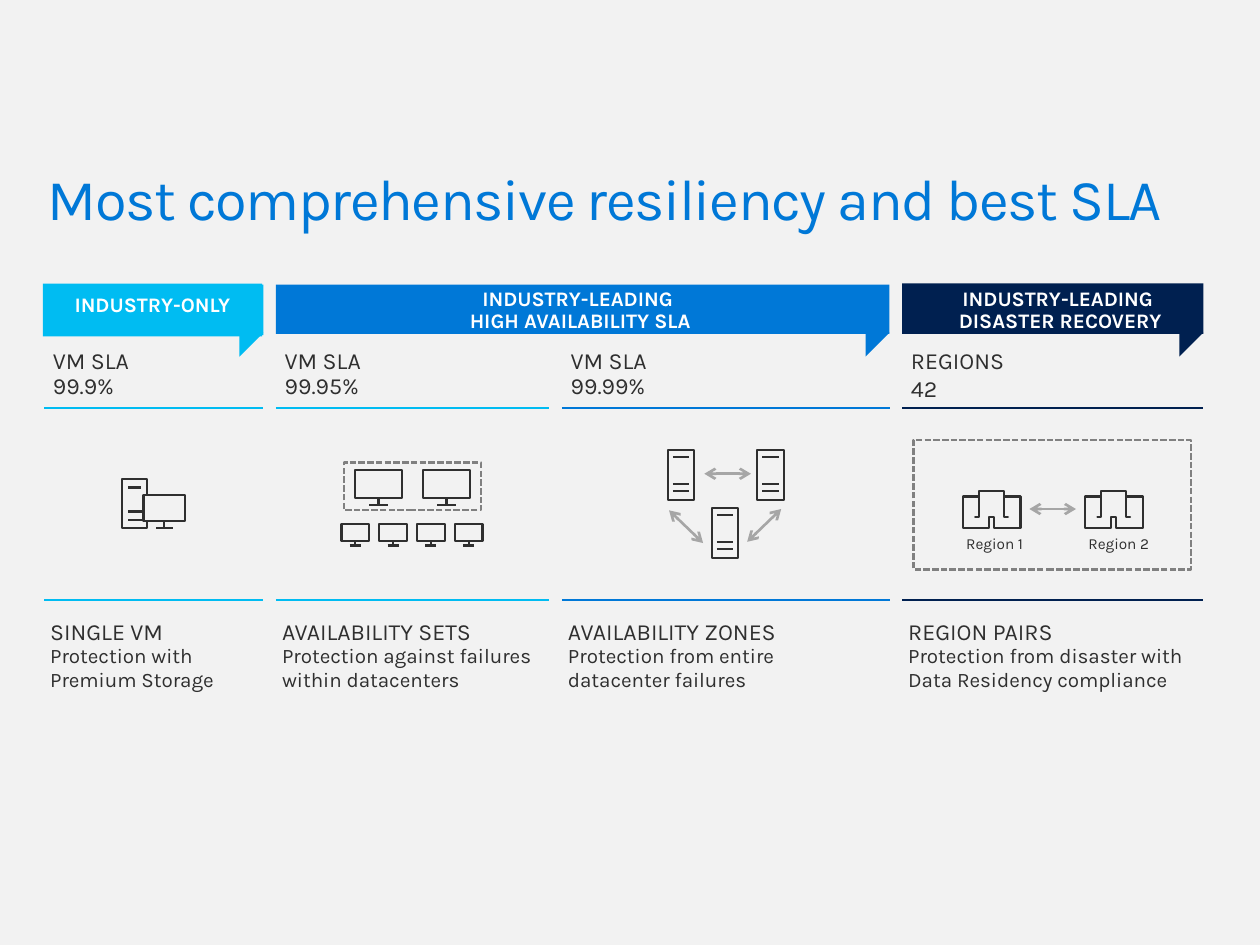
import pptx
import pptx.dml.color
import pptx.enum.dml
import pptx.enum.shapes
import pptx.enum.text
import pptx.oxml
import pptx.oxml.ns
import pptx.util
from pptx.util import Inches

COLORS = {
    "page": "F2F2F2", "cyan": "00BCF2", "blue": "0078D7", "navy": "002050",
    "ink": "2F2F2F", "dash": "808080", "arrow": "A6A6A6", "white": "FFFFFF",
}
SHAPES = pptx.enum.shapes.MSO_SHAPE
ALIGN = pptx.enum.text.PP_ALIGN
FIT = pptx.enum.text.MSO_AUTO_SIZE


def rgb(name):
    return pptx.dml.color.RGBColor.from_string(COLORS[name])


def lengths(values):
    return [Inches(value) for value in values]


def monitor_strokes(left, top, width, height):
    """Screen, stem and foot of a monitor."""
    right, bottom, center = left + width, top + height, left + width / 2
    screen = top + 0.8 * height
    return [
        [(left, top), (right, top), (right, screen), (left, screen), (left, top)],
        [(center, screen), (center, bottom)],
        [(center - 0.2 * width, bottom), (center + 0.2 * width, bottom)],
    ]


def server_strokes(left, top, width=0.21, height=0.4):
    """Case of a server with its three slots."""
    right, bottom = left + width, top + height
    case = [(left, top), (right, top), (right, bottom), (left, bottom), (left, top)]
    slots = [[(left + 0.04, top + drop), (right - 0.04, top + drop)]
             for drop in (0.06, 0.27, 0.33)]
    return [case] + slots


def building_strokes(left, top):
    """Tower with two wings and a door, mirrored about its center."""
    half = [(0.02, 0.2), (0.02, 0.29), (0.23, 0.29), (0.23, 0.04), (0.1, 0.04),
            (0.1, 0.2), (0.13, 0.2), (0.1, 0.2), (0.1, 0)]
    outline = [(-x, y) for x, y in half] + half[::-1] + [(-0.02, 0.2)]
    return [[(left + 0.23 + x, top + y) for x, y in outline]]


class SlideBuilder:
    font = "Karla"
    thin = pptx.util.Pt(1.25)

    def __init__(self, page):
        self.page = page
        page.background.fill.solid()
        page.background.fill.fore_color.rgb = rgb("page")

    def add_lines(self, frame, lines, size, color, bold=False):
        para = frame.paragraphs[0]
        for index, line in enumerate(lines):
            if index:
                para.add_line_break()
            span = para.add_run()
            span.text = line
            span.font.name = self.font
            span.font.size = pptx.util.Pt(size)
            span.font.bold = bold
            span.font.color.rgb = rgb(color)
        return para

    def margins(self, frame, across, down):
        frame.margin_left = frame.margin_right = Inches(across)
        frame.margin_top = frame.margin_bottom = Inches(down)

    def title(self, text, place):
        box = self.page.shapes.title
        box.left, box.top, box.width, box.height = lengths(place)
        frame = box.text_frame
        frame.word_wrap = True
        frame.auto_size = FIT.NONE
        frame.vertical_anchor = pptx.enum.text.MSO_ANCHOR.MIDDLE
        self.margins(frame, 0.16, 0.1)
        para = self.add_lines(frame, [text], 33, "blue")
        para.alignment = ALIGN.LEFT
        para.line_spacing = 0.9
        para.runs[0].font._element.set("spc", "-80")

    def text(self, lines, place, size, wrap=False, inset=(0.1, 0.05),
             color="ink", bold=False):
        box = self.page.shapes.add_textbox(*lengths(place))
        frame = box.text_frame
        frame.word_wrap = wrap
        frame.auto_size = FIT.SHAPE_TO_FIT_TEXT
        self.margins(frame, *inset)
        self.add_lines(frame, lines, size, color, bold)
        return box

    def block(self, kind, place, color):
        shape = self.page.shapes.add_shape(kind, *lengths(place))
        shape.shadow.inherit = False
        shape.fill.solid()
        shape.fill.fore_color.rgb = rgb(color)
        shape.line.fill.background()
        return shape

    def banner(self, place, label_place, lines, color, label_fill=False):
        left, _, width, _ = place
        tail = self.block(SHAPES.RIGHT_TRIANGLE,
                          (left + width - 0.19, 2.64, 0.19, 0.19), color)
        tail.rotation = 90
        self.block(SHAPES.RECTANGLE, place, color)
        label = self.text(lines, label_place, 11.8, True, (0.07, 0.12), "white", True)
        if label_fill:
            label.fill.solid()
            label.fill.fore_color.rgb = rgb(color)
        para = label.text_frame.paragraphs[0]
        para.alignment = ALIGN.CENTER
        para.line_spacing = 0.9
        para.space_after = pptx.util.Pt(4.4)

    def dashed_frame(self, place):
        frame = self.page.shapes.add_shape(SHAPES.RECTANGLE, *lengths(place))
        frame.shadow.inherit = False
        frame.fill.background()
        frame.line.color.rgb = rgb("dash")
        frame.line.width = self.thin
        frame.line.dash_style = pptx.enum.dml.MSO_LINE.SQUARE_DOT

    def icon(self, strokes):
        builder = None
        for stroke in strokes:
            start, *rest = [tuple(lengths(point)) for point in stroke]
            if builder is None:
                builder = self.page.shapes.build_freeform(*start)
            else:
                builder.move_to(*start)
            builder.add_line_segments(rest, close=False)
        shape = builder.convert_to_shape()
        shape.shadow.inherit = False
        shape.fill.background()
        shape.line.color.rgb = rgb("ink")
        shape.line.width = self.thin

    def line(self, ends, color, width=1.25, arrows=False):
        connector = self.page.shapes.add_connector(
            pptx.enum.shapes.MSO_CONNECTOR.STRAIGHT, *lengths(ends))
        connector.line.color.rgb = rgb(color)
        connector.line.width = pptx.util.Pt(width)
        properties = connector._element.spPr
        namespace = pptx.oxml.ns.nsdecls("a")
        if arrows:
            for end in ("headEnd", "tailEnd"):
                properties.get_or_add_ln().append(
                    pptx.oxml.parse_xml(f'<a:{end} {namespace} type="arrow"/>'))
        properties.append(pptx.oxml.parse_xml(f"<a:effectLst {namespace}/>"))


def main():
    deck = pptx.Presentation()
    deck.slide_width, deck.slide_height = Inches(10), Inches(7.5)
    slide = SlideBuilder(deck.slides.add_slide(deck.slide_layouts[5]))
    slide.title("Most comprehensive resiliency and best SLA", (0.22, 1.23, 9.56, 0.74))

    # Columns: rules, figures above, descriptions below
    columns = [
        (0.35, 1.74, "cyan", ["VM SLA", "99.9%"], "SINGLE VM",
         ["Protection with Premium Storage"], 1.6),
        (2.19, 2.17, "cyan", ["VM SLA", "99.95%"], "AVAILABILITY SETS",
         ["Protection against failures within datacenters"], 2.27),
        (4.46, 2.6, "blue", ["VM SLA", "99.99%"], "AVAILABILITY ZONES",
         ["Protection from entire datacenter failures"], 2.46),
        (7.16, 2.39, "navy", ["REGIONS", "42"], "REGION PAIRS",
         ["Protection from disaster with", "Data Residency compliance"], 2.4),
    ]
    for left, width, color, figures, heading, details, text_width in columns:
        for top in (3.24, 4.76):
            slide.line((left, top, left + width, top), color)
        if figures[0] == "REGIONS":
            slide.text(figures, (left, 2.71, 0.93, 0.52), 13.2, inset=(0.07, 0.04))
        else:
            for top, figure in zip((2.71, 2.91), figures):
                slide.text([figure], (left, top, 0.8, 0.3), 13.2, inset=(0.07, 0.04))
        # Unwrapped boxes fit their text: about 0.11 inch a letter
        heading_width = 0.2 + 0.1 * len(heading)
        slide.text([heading], (left - 0.05, 4.85, heading_width, 0.32), 13.2)
        slide.text(details, (left - 0.05, 5.05, text_width, 0.5), 11.8, wrap=True)

    # Single VM: a tower behind a monitor
    tower = [[(1.17, 3.93), (1.17, 3.8), (0.97, 3.8), (0.97, 4.19), (1.17, 4.19),
              (1.17, 4.13)], [(1.02, 3.87), (1.12, 3.87)]]
    tower += [[(1.02, y), (1.14, y)] for y in (4.06, 4.13)]
    slide.icon(monitor_strokes(1.14, 3.93, 0.33, 0.26) + tower)

    # Availability sets: two framed monitors over four small ones
    for left in (2.82, 3.36):
        slide.icon(monitor_strokes(left, 3.73, 0.37, 0.28))
    slide.dashed_frame((2.73, 3.67, 1.09, 0.38))
    for index in range(4):
        slide.icon(monitor_strokes(2.71 + 0.3 * index, 4.16, 0.22, 0.17))

    # Availability zones: three servers joined by arrows
    for left, top in ((5.3, 3.57), (6.01, 3.57), (5.65, 4.03)):
        slide.icon(server_strokes(left, top))
    for ends in ((5.59, 3.76, 5.96, 3.76), (5.31, 4.05, 5.58, 4.31),
                 (6.2, 4.04, 5.93, 4.3)):
        slide.line(ends, "arrow", 1.5, arrows=True)

    # Region pairs: two framed buildings joined by an arrow
    slide.dashed_frame((7.25, 3.49, 2.2, 1.03))
    slide.line((8.17, 4.04, 8.54, 4.04), "arrow", 1.5, arrows=True)
    for left, name in ((7.64, "Region 1"), (8.61, "Region 2")):
        slide.icon(building_strokes(left, 3.9))
        slide.text([name], (left - 0.07, 4.19, 0.69, 0.25), 8.8)

    # Banners
    slide.banner((0.35, 2.26, 1.74, 0.4), (0.34, 2.25, 1.74, 0.42),
                 ["INDUSTRY-ONLY"], "cyan", label_fill=True)
    slide.banner((2.19, 2.26, 4.87, 0.39), (2.17, 2.17, 4.87, 0.59),
                 ["INDUSTRY-LEADING ", "HIGH AVAILABILITY SLA"], "blue")
    slide.banner((7.16, 2.25, 2.39, 0.4), (7.22, 2.17, 2.39, 0.59),
                 ["INDUSTRY-LEADING ", "DISASTER RECOVERY"], "navy")

    deck.save("out.pptx")


if __name__ == "__main__":
    main()
